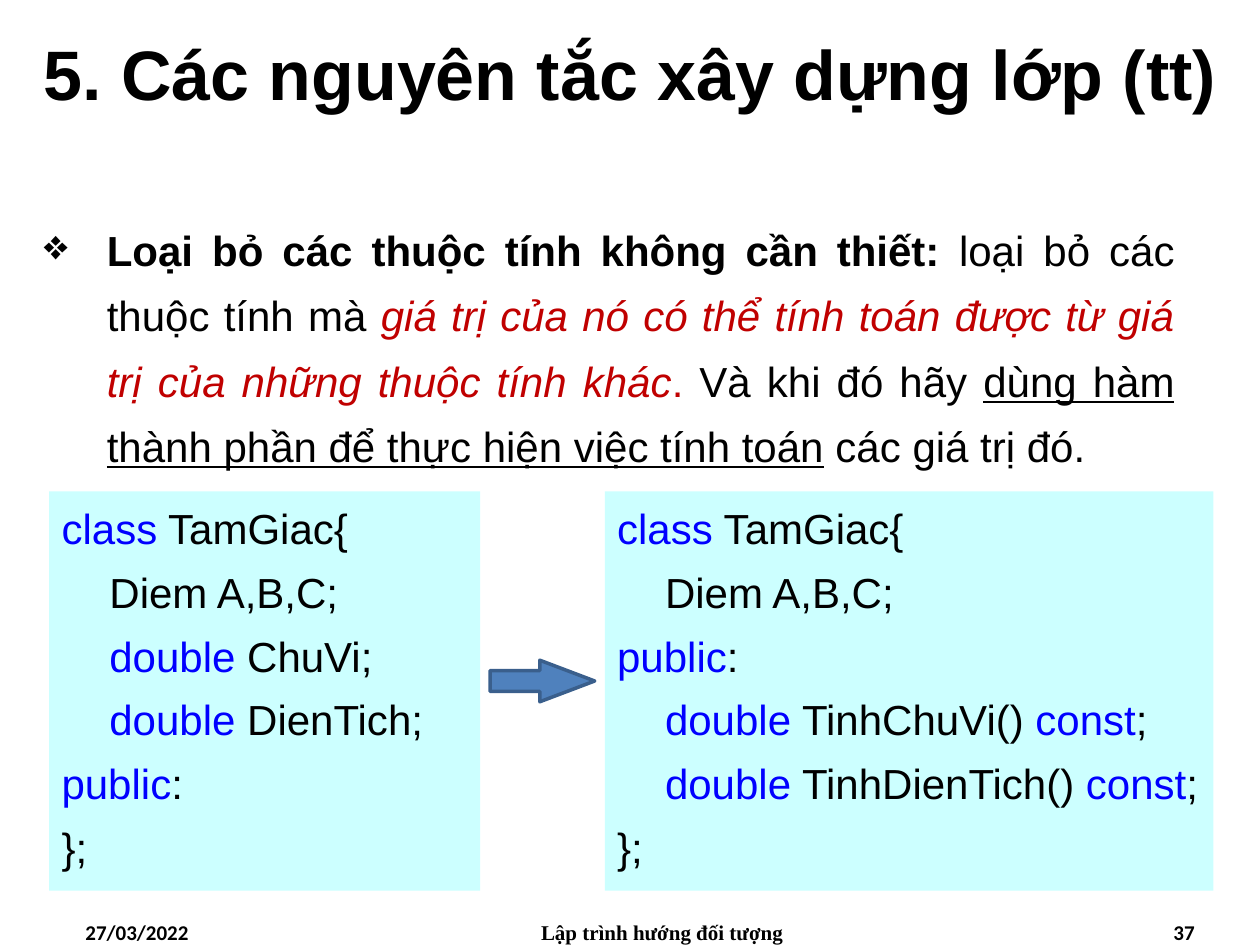
from dataclasses import dataclass

from lxml import etree
from pptx import Presentation
from pptx.dml.color import RGBColor
from pptx.enum.shapes import MSO_SHAPE
from pptx.enum.text import MSO_ANCHOR, PP_ALIGN
from pptx.oxml.ns import qn
from pptx.util import Inches, Pt

RECT, ARROW = MSO_SHAPE.RECTANGLE, MSO_SHAPE.RIGHT_ARROW
TOP, MIDDLE = MSO_ANCHOR.TOP, MSO_ANCHOR.MIDDLE
LEFT, CENTER, RIGHT, JUSTIFY = PP_ALIGN.LEFT, PP_ALIGN.CENTER, PP_ALIGN.RIGHT, PP_ALIGN.JUSTIFY


@dataclass(frozen=True)
class Theme:
    text: str = "000000"
    accent: str = "C00000"
    keyword: str = "0000FF"
    panel: str = "CCFFFF"
    arrow: str = "4F81BD"
    arrow_line: str = "3A5F8C"
    font: str = "Arial"
    title_size: int = 40
    body_size: int = 24
    footer_size: int = 12


THEME = Theme()

BODY_RUNS = [
    ("Loại bỏ các thuộc tính không cần thiết: ", {"bold": True}),
    ("loại bỏ các thuộc tính mà ", {}),
    ("giá trị của nó có thể tính toán được từ giá trị của những thuộc tính khác",
     {"color": THEME.accent, "italic": True}),
    (".", {"color": THEME.accent}),
    (" Và khi đó hãy ", {}),
    ("dùng hàm thành phần để thực hiện việc tính toán", {"underline": True}),
    (" các giá trị đó.", {}),
]
CODE_BEFORE = [
    "|class| TamGiac{",
    "\tDiem A,B,C;",
    "\t|double| ChuVi;",
    "\t|double| DienTich;",
    "|public|:",
    "};",
]
CODE_AFTER = [
    "|class| TamGiac{",
    "\tDiem A,B,C;",
    "|public|:",
    "\t|double| TinhChuVi() |const|;",
    "\t|double| TinhDienTich() |const|;",
    "};",
]
FOOTERS = [
    ("27/03/2022", 0.58, 2.33, LEFT, "Calibri"),
    ("Lập trình hướng đối tượng", 3.67, 3.17, CENTER, "Times New Roman"),
    ("37", 7.25, 2.33, RIGHT, "Calibri"),
]


def add_run(p, text, size=THEME.body_size, font=THEME.font, color=THEME.text,
            bold=False, italic=False, underline=False):
    r = p.add_run()
    r.text = text
    r.font.size = Pt(size)
    r.font.name = font
    r.font.color.rgb = RGBColor.from_string(color)
    r.font.bold = bold
    r.font.italic = italic
    r.font.underline = underline


def set_indent(p, hanging):
    pPr = p._p.get_or_add_pPr()
    pPr.set("marL", str(hanging))
    pPr.set("indent", str(-hanging))
    return pPr


def add_text_frame(s, box, anchor=TOP):
    tf = s.shapes.add_textbox(*box).text_frame
    tf.word_wrap = True
    tf.vertical_anchor = anchor
    return tf


def add_block(s, kind, box, fill):
    sp = s.shapes.add_shape(kind, *box)
    sp.shadow.inherit = False
    sp.fill.solid()
    sp.fill.fore_color.rgb = RGBColor.from_string(fill)
    sp.line.fill.background()
    return sp


def add_line_of_text(s, box, text, align, anchor=TOP, **fmt):
    p = add_text_frame(s, box, anchor).paragraphs[0]
    p.alignment = align
    add_run(p, text, bold=True, **fmt)


def add_body(s, box):
    p = add_text_frame(s, box).paragraphs[0]
    p.alignment = JUSTIFY
    p.line_spacing = 1.3
    p.space_before = p.space_after = Pt(3)
    pPr = set_indent(p, Inches(0.5))
    etree.SubElement(pPr, qn("a:buChar"), char="❖")
    for text, fmt in BODY_RUNS:
        add_run(p, text, **fmt)


def add_code(s, box, lines):
    tf = add_block(s, RECT, box, THEME.panel).text_frame
    tf.word_wrap = True
    tf.vertical_anchor = TOP
    for i, line in enumerate(lines):
        p = tf.add_paragraph() if i else tf.paragraphs[0]
        p.alignment = LEFT
        p.line_spacing = 1.1
        p.space_before = Pt(4.8)
        set_indent(p, Inches(0.38))
        for j, part in enumerate(line.split("|")):
            if part:
                add_run(p, part, color=THEME.keyword if j % 2 else THEME.text)


def add_arrow(s, box):
    sp = add_block(s, ARROW, box, THEME.arrow)
    sp.adjustments[0] = 0.5
    sp.adjustments[1] = 1.32
    sp.line.color.rgb = RGBColor.from_string(THEME.arrow_line)
    sp.line.width = Pt(2)


def add_footer(s, top, height):
    for text, left, width, align, font in FOOTERS:
        box = (Inches(left), top, Inches(width), height)
        add_line_of_text(s, box, text, align, size=THEME.footer_size, font=font)


def main():
    prs = Presentation()
    prs.slide_width, prs.slide_height = Inches(10), Inches(7.5)
    s = prs.slides.add_slide(prs.slide_layouts[6])
    code_top, code_height = Inches(3.9), Inches(3.17)

    add_body(s, (Inches(0.25), Inches(1.61), Inches(9.17), Inches(5.39)))
    add_footer(s, Inches(7.25), Inches(0.25))
    add_code(s, (Inches(0.39), code_top, Inches(3.42), code_height), CODE_BEFORE)
    add_code(s, (Inches(4.8), code_top, Inches(4.83), code_height), CODE_AFTER)
    add_line_of_text(s, (0, Inches(-0.01), Inches(10), Inches(1.17)),
                     "5. Các nguyên tắc xây dựng lớp (tt)", CENTER, MIDDLE,
                     size=THEME.title_size)
    add_arrow(s, (Inches(3.89), Inches(5.24), Inches(0.83), Inches(0.33)))
    prs.save("out.pptx")


if __name__ == "__main__":
    main()
